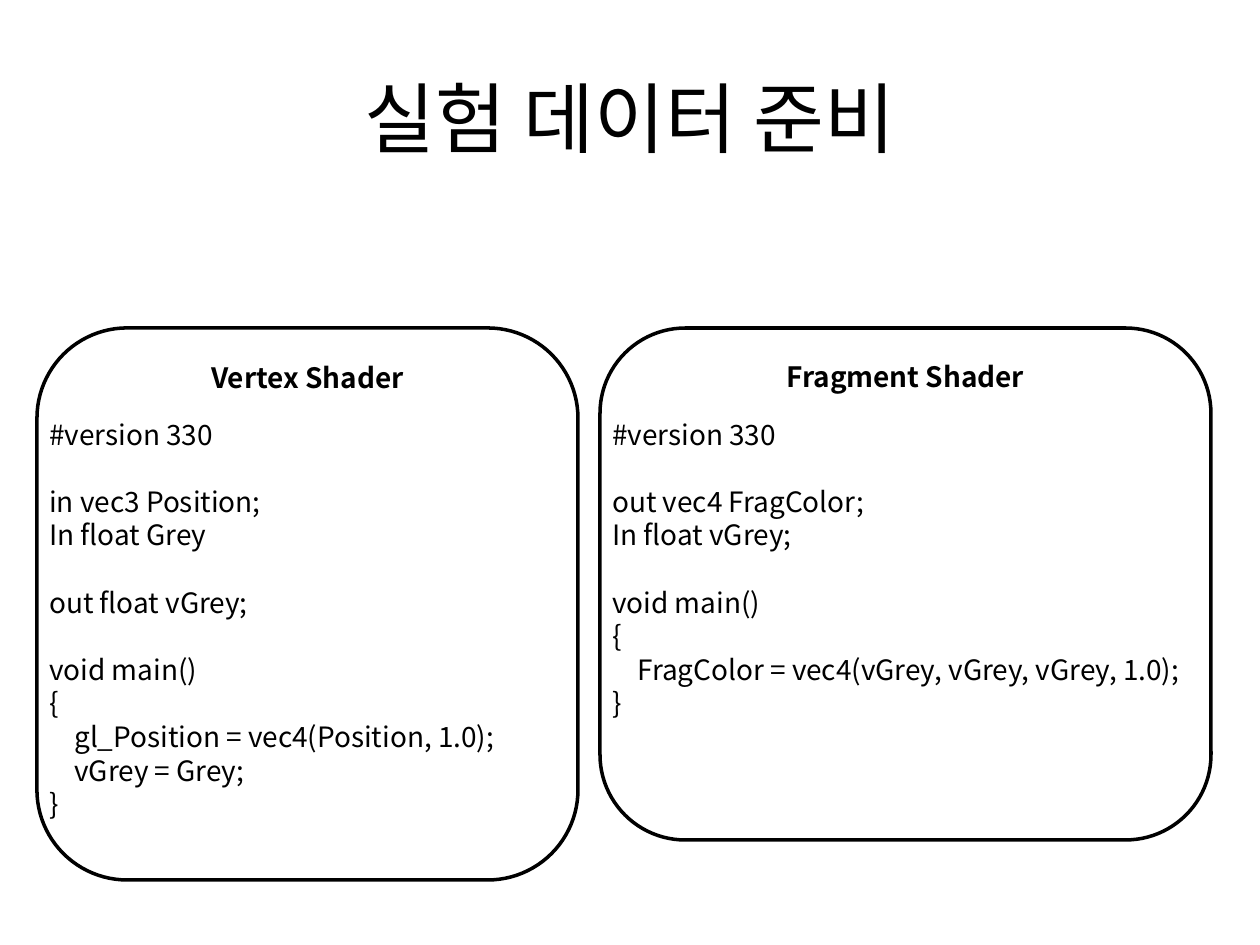
from dataclasses import dataclass

from pptx import Presentation
from pptx.dml.color import RGBColor
from pptx.enum.shapes import MSO_SHAPE
from pptx.enum.text import MSO_ANCHOR, PP_ALIGN
from pptx.oxml.ns import qn
from pptx.slide import Slide
from pptx.text.text import TextFrame
from pptx.util import Emu, Pt


@dataclass(frozen=True)
class Theme:
    ink: RGBColor = RGBColor(0, 0, 0)
    paper: RGBColor = RGBColor(255, 255, 255)
    font: str = "Noto Sans CJK KR"
    title_size: int = 44
    body_size: int = 16
    blank_line: float = 19.2
    outline: int = 2


@dataclass(frozen=True)
class ShaderPanel:
    heading: str
    code: str
    left: int
    width: int
    height: int
    code_height: int


THEME = Theme()
PANEL_TOP = 328
CODE_TOP = 411

VERTEX_CODE = """#version 330

in vec3 Position;
In float Grey

out float vGrey;

void main()
{
    gl_Position = vec4(Position, 1.0);
    vGrey = Grey;
}"""

FRAGMENT_CODE = """#version 330

out vec4 FragColor;
In float vGrey;

void main()
{
    FragColor = vec4(vGrey, vGrey, vGrey, 1.0);
}"""

PANELS = [
    ShaderPanel("Vertex Shader", VERTEX_CODE, 37, 541, 552, 420),
    ShaderPanel("Fragment Shader", FRAGMENT_CODE, 600, 611, 512, 318),
]


def px(length: int) -> Emu:
    """Convert pixels, 126 to the inch, to EMU."""
    return Emu(round(length * 914400 / 126))


def write_text(frame: TextFrame, text: str, *, size: int = THEME.body_size,
               bold: bool = False, align: PP_ALIGN = PP_ALIGN.LEFT,
               anchor: MSO_ANCHOR = MSO_ANCHOR.TOP) -> None:
    """Write one paragraph per line; an empty line becomes space before the next."""
    frame.word_wrap = True
    frame.vertical_anchor = anchor
    paragraph = None
    gap = 0
    for line in text.split("\n"):
        if not line:
            gap += THEME.blank_line
            continue
        paragraph = frame.add_paragraph() if paragraph else frame.paragraphs[0]
        paragraph.alignment = align
        if gap:
            paragraph.space_before = Pt(gap)
            gap = 0
        run = paragraph.add_run()
        run.text = line
        run.font.name = THEME.font
        run.font.size = Pt(size)
        run.font.bold = bold
        run.font.color.rgb = THEME.ink
        # Korean letters take the East Asian typeface
        east_asian = run.font._element.makeelement(qn("a:ea"), {"typeface": THEME.font})
        run.font._element.append(east_asian)


def draw_panel(slide: Slide, panel: ShaderPanel) -> None:
    # Rounded frame with its heading
    shape = slide.shapes.add_shape(
        MSO_SHAPE.ROUNDED_RECTANGLE,
        px(panel.left), px(PANEL_TOP), px(panel.width), px(panel.height))
    shape.shadow.inherit = False
    shape.fill.solid()
    shape.fill.fore_color.rgb = THEME.paper
    shape.line.color.rgb = THEME.ink
    shape.line.width = Pt(THEME.outline)
    write_text(shape.text_frame, panel.heading, bold=True, align=PP_ALIGN.CENTER)

    # Shader code
    code_box = slide.shapes.add_textbox(
        px(panel.left), px(CODE_TOP), px(panel.width), px(panel.code_height))
    write_text(code_box.text_frame, panel.code)


def main() -> None:
    presentation = Presentation()
    presentation.slide_width, presentation.slide_height = px(1260), px(945)
    slide = presentation.slides.add_slide(presentation.slide_layouts[5])

    # Title
    title = slide.shapes.title
    title.left, title.top, title.width, title.height = px(63), px(38), px(1134), px(158)
    write_text(title.text_frame, "실험 데이터 준비", size=THEME.title_size,
               align=PP_ALIGN.CENTER, anchor=MSO_ANCHOR.MIDDLE)

    # Shader panels
    for panel in PANELS:
        draw_panel(slide, panel)

    presentation.save("out.pptx")


if __name__ == "__main__":
    main()
